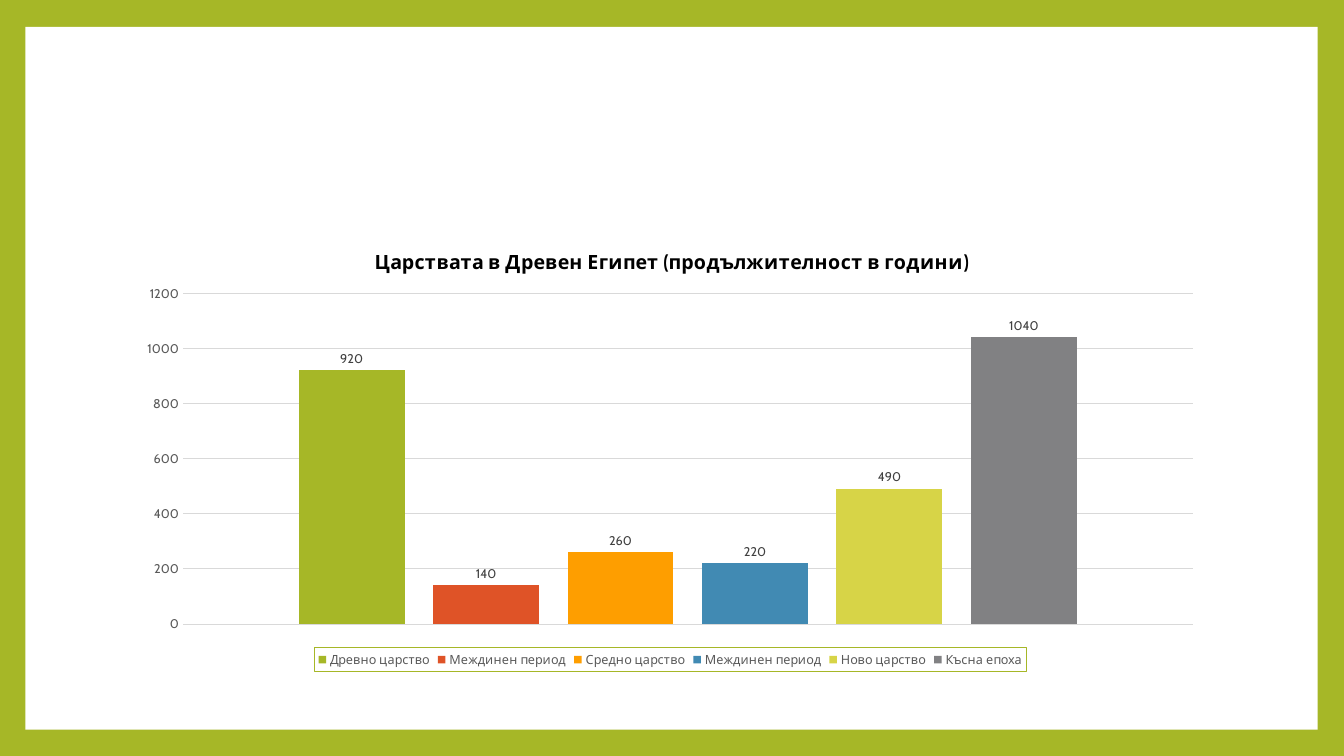
"""Build a slide with a column chart of the periods of Ancient Egypt."""
from lxml import etree
from pptx import Presentation
from pptx.chart.data import CategoryChartData
from pptx.dml.color import RGBColor
from pptx.enum.chart import XL_CHART_TYPE, XL_LABEL_POSITION, XL_LEGEND_POSITION, XL_TICK_MARK
from pptx.enum.shapes import MSO_SHAPE
from pptx.oxml import parse_xml
from pptx.oxml.ns import nsdecls, qn
from pptx.util import Cm, Pt

COLUMNS = XL_CHART_TYPE.COLUMN_CLUSTERED
OUTSIDE = XL_LABEL_POSITION.OUTSIDE_END
BOTTOM = XL_LEGEND_POSITION.BOTTOM
NO_TICK = XL_TICK_MARK.NONE
RECTANGLE = MSO_SHAPE.RECTANGLE

GREEN = RGBColor(0xA6, 0xB7, 0x27)
RED = RGBColor(0xDF, 0x53, 0x27)
ORANGE = RGBColor(0xFE, 0x9E, 0x00)
BLUE = RGBColor(0x41, 0x8A, 0xB3)
YELLOW = RGBColor(0xD7, 0xD4, 0x47)
GREY = RGBColor(0x81, 0x81, 0x83)
WHITE = RGBColor(0xFF, 0xFF, 0xFF)
BLACK = RGBColor(0x00, 0x00, 0x00)
AXIS_TEXT = RGBColor(0x59, 0x59, 0x59)
LABEL_TEXT = RGBColor(0x40, 0x40, 0x40)
GRID = RGBColor(0xD9, 0xD9, 0xD9)

KINGDOMS = [
    ("Древно царство", 920, GREEN),
    ("Междинен период", 140, RED),
    ("Средно царство", 260, ORANGE),
    ("Междинен период", 220, BLUE),
    ("Ново царство", 490, YELLOW),
    ("Късна епоха", 1040, GREY),
]


class SlideBuilder:
    """Hold the style and the current slide."""

    typeface = "Cabin"

    def __init__(self, slide):
        self.slide = slide

    def style(self, font, size, color, bold=False):
        font.name, font.size, font.bold = self.typeface, Pt(size), bold
        font.color.rgb = color

    def background(self, color):
        fill = self.slide.background.fill
        fill.solid()
        fill.fore_color.rgb = color

    def panel(self, left, top, width, height, color):
        panel = self.slide.shapes.add_shape(RECTANGLE, Cm(left), Cm(top), Cm(width), Cm(height))
        panel.shadow.inherit = False
        panel.fill.solid()
        panel.fill.fore_color.rgb = color
        panel.line.fill.background()

    def place(self, part, inner=False, **fractions):
        layout = part.find(qn("c:layout"))
        if layout is None:
            layout = parse_xml(f"<c:layout {nsdecls('c')}/>")
            before = part.find(qn("c:legendPos"))
            part.insert(0 if before is None else part.index(before) + 1, layout)
        manual = etree.SubElement(layout, qn("c:manualLayout"))
        settings = {"layoutTarget": "inner"} if inner else {}
        settings.update(xMode="edge", yMode="edge", **fractions)
        for tag, value in settings.items():
            etree.SubElement(manual, qn(f"c:{tag}")).set("val", str(value))

    def column_chart(self, left, top, width, height, heading, rows):
        data = CategoryChartData()
        data.categories = ["1"]
        for name, years, _ in rows:
            data.add_series(name, [years])
        frame = self.slide.shapes.add_chart(COLUMNS, Cm(left), Cm(top), Cm(width), Cm(height), data)
        chart = frame.chart
        self.style(chart.font, 10, BLACK)
        self.heading(chart, heading)
        self.columns(chart.plots[0], rows)
        self.axes(chart)
        self.legend(chart)
        plot_area = chart.plots[0]._element.getparent()
        self.place(plot_area, inner=True, x=0.052, y=0.149, w=0.928, h=0.743)

    def heading(self, chart, text):
        chart.has_title = True
        title = chart.chart_title
        title.include_in_layout = False
        run = title.text_frame.paragraphs[0].add_run()
        run.text = text
        self.style(run.font, 14, BLACK, bold=True)
        self.place(title._element, x=0.225, y=0.04)

    def columns(self, plot, rows):
        plot.gap_width, plot.overlap, plot.vary_by_categories = 219, -27, False
        for series, (_, _, color) in zip(plot.series, rows):
            series.format.fill.solid()
            series.format.fill.fore_color.rgb = color
            labels = series.data_labels
            labels.show_value, labels.position = True, OUTSIDE
            self.style(labels.font, 9, LABEL_TEXT)

    def axes(self, chart):
        chart.category_axis.visible = False
        years = chart.value_axis
        years.minimum_scale, years.maximum_scale, years.major_unit = 0, 1200, 200
        years.major_tick_mark = years.minor_tick_mark = NO_TICK
        years.format.line.fill.background()
        grid = years.major_gridlines.format.line
        grid.color.rgb, grid.width = GRID, Pt(0.75)
        self.style(years.tick_labels.font, 9, AXIS_TEXT)

    def legend(self, chart):
        chart.has_legend = True
        legend = chart.legend
        legend.position, legend.include_in_layout = BOTTOM, False
        self.style(legend.font, 9, AXIS_TEXT)
        border = parse_xml(
            f'<c:spPr {nsdecls("c", "a")}><a:noFill/><a:ln w="{Pt(0.75)}"><a:solidFill>'
            f'<a:srgbClr val="{GREEN}"/></a:solidFill></a:ln></c:spPr>')
        legend._element.find(qn("c:txPr")).addprevious(border)
        self.place(legend._element, x=0.173, y=0.945, w=0.654, h=0.054)


deck = Presentation()
deck.slide_width, deck.slide_height = Cm(33.87), Cm(19.05)
builder = SlideBuilder(deck.slides.add_slide(deck.slide_layouts[6]))
builder.background(GREEN)
builder.panel(0.64, 0.68, 32.57, 17.71, WHITE)
builder.column_chart(3.18, 5.72, 27.43, 11.22,
                     "Царствата в Древен Египет (продължителност в години)", KINGDOMS)
deck.save("out.pptx")
